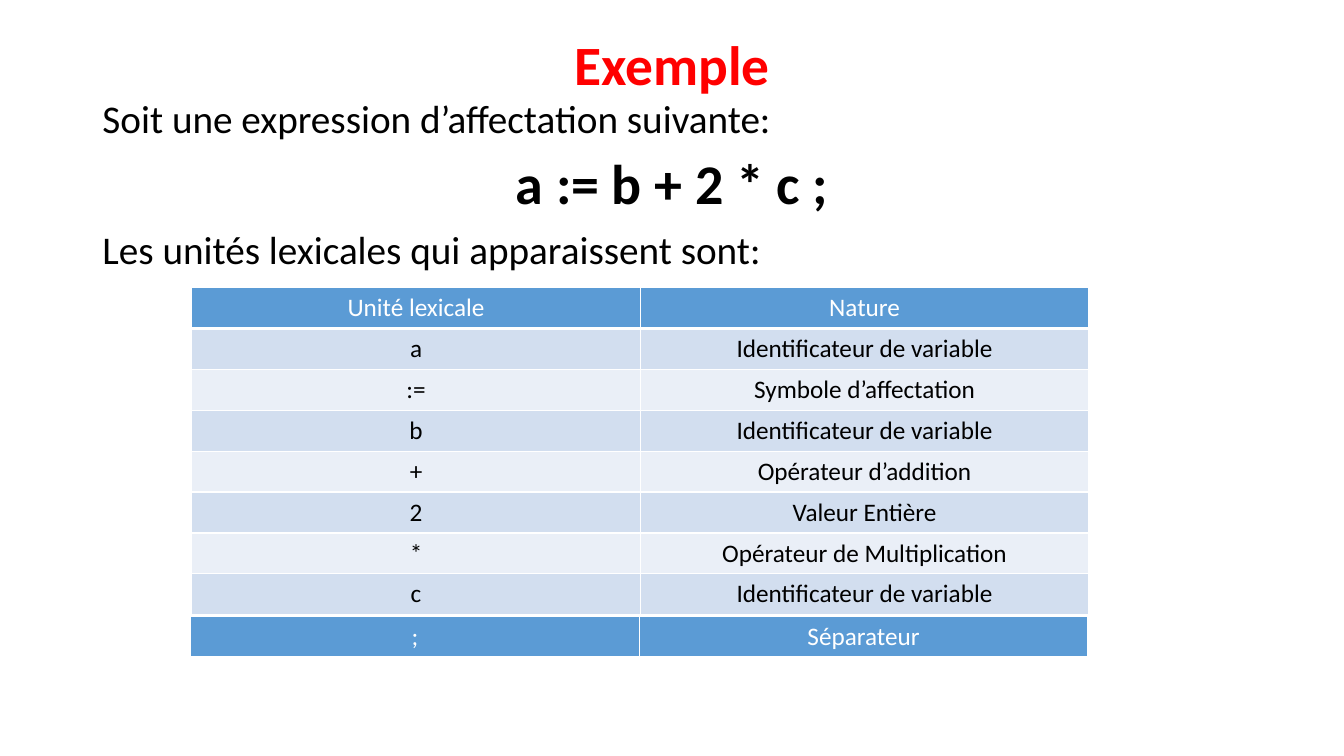
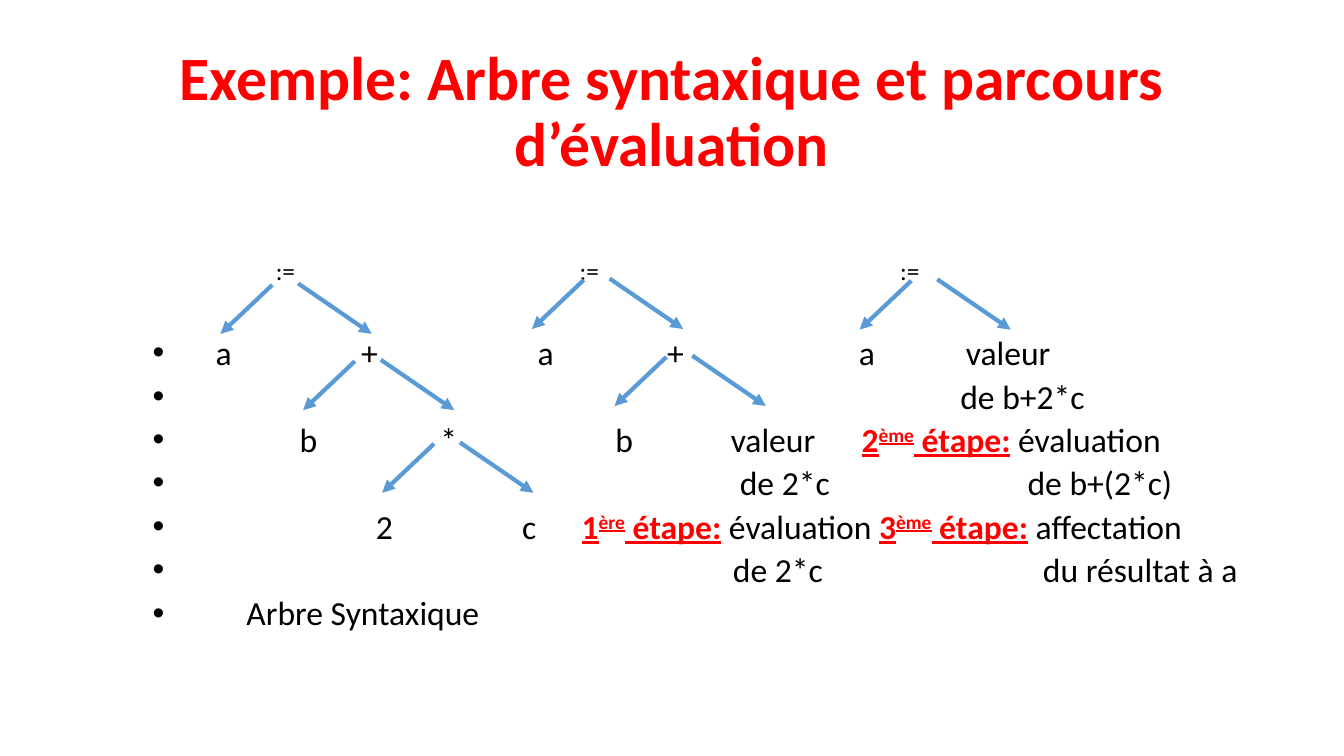
from dataclasses import dataclass
from itertools import groupby

from lxml.etree import SubElement
from pptx import Presentation
from pptx.dml.color import RGBColor
from pptx.enum.shapes import MSO_CONNECTOR
from pptx.enum.text import MSO_ANCHOR, MSO_AUTO_SIZE, PP_ALIGN
from pptx.oxml.ns import qn
from pptx.util import Pt

COLORS = {
    "title": "FF0000", "text": "000000", "white": "FFFFFF",
    "accent": "5B9BD5", "band_dark": "D2DEEF", "band_light": "EAEFF7",
}
FONT = "Calibri"
PAGE_WIDTH, PAGE_HEIGHT = 960, 540
MARGIN_LEFT, CONTENT_WIDTH = 66, 828
COLUMN_WIDTH, ROW_HEIGHT = 320.4, 29.2
LIST_LEFT, LIST_TOP, LIST_SIZE = 109, 240, 24
LINE_HEIGHT, LINE_GAP = 26, 5
ROOT_TOP, ROOT_SIZE = 178, 18
LABEL_WIDTH = 230


@dataclass
class Label:
    """A text on a list row, after an optional step such as 1ère étape."""
    row: int
    left: float
    text: str
    number: str = ""
    suffix: str = ""


@dataclass
class Branch:
    """The top of the right arrow in a pair that leaves a tree node."""
    x: float
    y: float


LEXICAL_UNITS = [
    ("Unité lexicale", "Nature"),
    ("a", "Identificateur de variable"),
    (":=", "Symbole d’affectation"),
    ("b", "Identificateur de variable"),
    ("+", "Opérateur d’addition"),
    ("2", "Valeur Entière"),
    ("*", "Opérateur de Multiplication"),
    ("c", "Identificateur de variable"),
]
SEPARATOR = [(";", "Séparateur")]

ROOT_LEFTS = [197, 414, 643]
LABELS = [
    Label(0, 154, "a"), Label(0, 258, "+"), Label(0, 384, "a"),
    Label(0, 476.5, "+"), Label(0, 613.5, "a"), Label(0, 690, "valeur"),
    Label(1, 686, "de b+2*c"),
    Label(2, 214, "b"), Label(2, 314.5, "*"), Label(2, 439.5, "b"),
    Label(2, 522, "valeur"), Label(2, 615.5, " évaluation", "2", "ème"),
    Label(3, 528.5, "de 2*c"), Label(3, 734, "de b+(2*c)"),
    Label(4, 268.5, "2"), Label(4, 373, "c"),
    Label(4, 415.5, " évaluation", "1", "ère"),
    Label(4, 628, " affectation", "3", "ème"),
    Label(5, 523.5, "de 2*c"), Label(5, 745, "du résultat à a"),
    Label(6, 176, "Arbre Syntaxique"),
]
BRANCHES = [
    Branch(213, 202.5), Branch(272, 257), Branch(328.5, 316),
    Branch(435.5, 199), Branch(494.5, 254), Branch(669.5, 199.5),
]


def rgb(name: str) -> RGBColor:
    """Return a named palette colour."""
    return RGBColor.from_string(COLORS[name])


def add_span(para, text: str, size: float, color: str = "text", bold: bool = False):
    """Add one formatted run and return it."""
    span = para.add_run()
    span.text = text
    span.font.name = FONT
    span.font.size = Pt(size)
    span.font.bold = bold
    span.font.color.rgb = rgb(color)
    return span


def place(shape, left: float, top: float, width: float, height: float) -> None:
    """Move and size a shape, in points."""
    shape.left, shape.top = Pt(left), Pt(top)
    shape.width, shape.height = Pt(width), Pt(height)


def prepare_frame(frame, inset: bool = True) -> None:
    """Make a text frame wrap at a fixed size, with or without insets."""
    frame.word_wrap = True
    frame.auto_size = MSO_AUTO_SIZE.NONE
    if not inset:
        frame.margin_left = frame.margin_right = Pt(0)
        frame.margin_top = frame.margin_bottom = Pt(0)


def next_para(frame, index: int):
    """Return the first paragraph for index 0, otherwise a new one."""
    return frame.add_paragraph() if index else frame.paragraphs[0]


def set_bullet(para, indent: float, bullet: str = "") -> None:
    """Indent the text and hang its bullet at the left edge."""
    properties = para._p.get_or_add_pPr()
    properties.set("marL", str(Pt(indent)))
    properties.set("indent", str(-Pt(indent)))
    if bullet:
        SubElement(properties, qn("a:buFont")).set("typeface", "Arial")
        SubElement(properties, qn("a:buChar")).set("char", bullet)
    else:
        SubElement(properties, qn("a:buNone"))


def add_page(deck, title: str, size: float, height: float):
    """Add a page with its red centred title."""
    page = deck.slides.add_slide(deck.slide_layouts[1])
    box = page.shapes.title
    place(box, MARGIN_LEFT, 28.8, CONTENT_WIDTH, height)
    prepare_frame(box.text_frame)
    box.text_frame.vertical_anchor = MSO_ANCHOR.MIDDLE
    para = box.text_frame.paragraphs[0]
    para.alignment = PP_ALIGN.CENTER
    para.line_spacing = 0.9
    add_span(para, title, size, "title", bold=True)
    return page


def add_border(cell, side: str, width: float) -> None:
    """Draw one white border of a cell."""
    line = SubElement(cell._tc.get_or_add_tcPr(), qn(f"a:ln{side}"), w=str(Pt(width)))
    fill = SubElement(line, qn("a:solidFill"))
    SubElement(fill, qn("a:srgbClr"), val=COLORS["white"])


def add_unit_table(page, left: float, top: float, rows: list[tuple[str, str]]) -> None:
    """Add a two-column table with a header row and banded rows."""
    table = page.shapes.add_table(
        len(rows), 2, Pt(left), Pt(top),
        Pt(2 * COLUMN_WIDTH), Pt(len(rows) * ROW_HEIGHT)).table
    table.first_row = table.horz_banding = False
    for index, texts in enumerate(rows):
        table.rows[index].height = Pt(ROW_HEIGHT)
        header = index == 0
        band = "accent" if header else "band_dark" if index % 2 else "band_light"
        for column, text in enumerate(texts):
            cell = table.cell(index, column)
            for side in "LRTB":
                add_border(cell, side, 3 if header and side == "B" else 1)
            cell.fill.solid()
            cell.fill.fore_color.rgb = rgb(band)
            para = cell.text_frame.paragraphs[0]
            para.alignment = PP_ALIGN.CENTER
            add_span(para, text, 18, "white" if header else "text")


def add_label_text(para, label: Label) -> None:
    """Write a label, with its red underlined step if it has one."""
    if label.number:
        for text in (label.number, label.suffix, " étape:"):
            span = add_span(para, text, LIST_SIZE, "title", bold=True)
            span.font.underline = True
            if text == label.suffix:
                span.font._element.set("baseline", "30000")
    add_span(para, label.text, LIST_SIZE)


def set_list_spacing(para) -> None:
    """Give list rows and free labels the same line grid."""
    para.line_spacing = Pt(LINE_HEIGHT)
    para.space_before = Pt(0)
    para.space_after = Pt(LINE_GAP)


def add_label_box(page, left: float, top: float):
    """Add a text box on the line grid and return its paragraph."""
    width = min(LABEL_WIDTH, PAGE_WIDTH - left)
    box = page.shapes.add_textbox(Pt(left), Pt(top), Pt(width), Pt(LINE_HEIGHT))
    prepare_frame(box.text_frame, inset=False)
    para = box.text_frame.paragraphs[0]
    set_list_spacing(para)
    return para


def add_arrow(page, start: tuple[float, float], end: tuple[float, float]) -> None:
    """Draw a tree arrow."""
    arrow = page.shapes.add_connector(
        MSO_CONNECTOR.STRAIGHT, *(Pt(value) for value in start + end))
    arrow.line.width = Pt(3)
    arrow.line.color.rgb = rgb("accent")
    SubElement(arrow.line._get_or_add_ln(), qn("a:tailEnd"), type="triangle")
    SubElement(arrow._element.spPr, qn("a:effectLst"))


def build_units_page(deck) -> None:
    """Build the page that lists the lexical units."""
    page = add_page(deck, "Exemple", 39.6, 38.9)
    body = page.placeholders[1]
    place(body, MARGIN_LEFT, 67.7, CONTENT_WIDTH, 418.3)
    prepare_frame(body.text_frame)
    lines = [
        ("Soit une expression d’affectation suivante:", 28, PP_ALIGN.LEFT),
        ("a := b + 2 * c ;", 40, PP_ALIGN.CENTER),
        ("Les unités lexicales qui apparaissent sont:", 28, PP_ALIGN.JUSTIFY),
    ]
    for index, (text, size, alignment) in enumerate(lines):
        para = next_para(body.text_frame, index)
        para.alignment = alignment
        para.line_spacing = 0.9
        para.space_before = Pt(10)
        set_bullet(para, 0)
        add_span(para, text, size, bold=size == 40)
    add_unit_table(page, 137, 205.5, LEXICAL_UNITS)
    add_unit_table(page, 136.3, 440.6, SEPARATOR)


def build_tree_page(deck) -> None:
    """Build the page with the syntax tree and its evaluation steps."""
    page = add_page(deck, "Exemple: Arbre syntaxique et parcours d’évaluation", 44, 104.4)
    body = page.placeholders[1]
    place(body, LIST_LEFT, LIST_TOP, MARGIN_LEFT + CONTENT_WIDTH - LIST_LEFT, 246)
    prepare_frame(body.text_frame, inset=False)
    body.text_frame.vertical_anchor = MSO_ANCHOR.TOP
    for row, group in groupby(LABELS, key=lambda label: label.row):
        first, *others = group
        para = next_para(body.text_frame, row)
        set_list_spacing(para)
        set_bullet(para, first.left - LIST_LEFT, "•")
        add_label_text(para, first)
        for label in others:
            top = LIST_TOP + row * (LINE_HEIGHT + LINE_GAP)
            add_label_text(add_label_box(page, label.left, top), label)
    for left in ROOT_LEFTS:
        add_span(add_label_box(page, left, ROOT_TOP), ":=", ROOT_SIZE)
    for branch in BRANCHES:
        x, y = branch.x, branch.y
        add_arrow(page, (x, y), (x + 52.5, y + 36))
        add_arrow(page, (x - 18.5, y + 1), (x - 55.5, y + 36))


def main() -> None:
    """Build and save the deck."""
    deck = Presentation()
    deck.slide_width, deck.slide_height = Pt(PAGE_WIDTH), Pt(PAGE_HEIGHT)
    build_units_page(deck)
    build_tree_page(deck)
    deck.save("out.pptx")


main()
